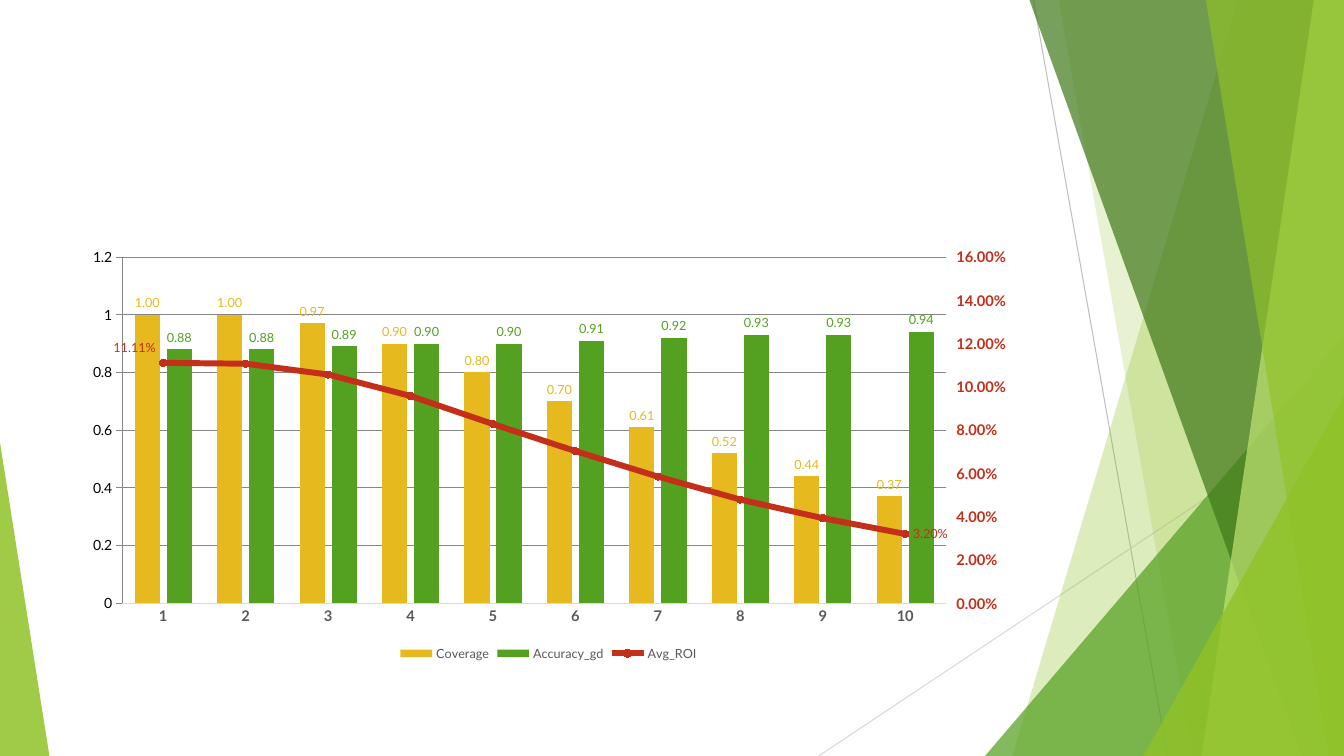
from copy import deepcopy

from lxml import etree
from pptx import Presentation
from pptx.chart.axis import CategoryAxis, ValueAxis
from pptx.chart.data import CategoryChartData
from pptx.dml.color import RGBColor
from pptx.enum.chart import (XL_CHART_TYPE, XL_LABEL_POSITION, XL_LEGEND_POSITION,
                             XL_MARKER_STYLE, XL_TICK_MARK)
from pptx.enum.shapes import MSO_CONNECTOR, MSO_SHAPE
from pptx.oxml import parse_xml
from pptx.oxml.ns import nsdecls, qn
from pptx.util import Inches, Pt

CLUSTERED = XL_CHART_TYPE.COLUMN_CLUSTERED
LEFT, RIGHT = XL_LABEL_POSITION.LEFT, XL_LABEL_POSITION.RIGHT
OUTSIDE = XL_LABEL_POSITION.OUTSIDE_END
BOTTOM = XL_LEGEND_POSITION.BOTTOM
CIRCLE = XL_MARKER_STYLE.CIRCLE
NO_TICK, TICK_OUT = XL_TICK_MARK.NONE, XL_TICK_MARK.OUTSIDE
STRAIGHT = MSO_CONNECTOR.STRAIGHT
TRIANGLE = MSO_SHAPE.ISOSCELES_TRIANGLE

# Content
WIDTH, HEIGHT = 13.33, 7.5
CATEGORIES = [str(n) for n in range(1, 11)]
COVERAGE = ("Coverage", [1, 1, 0.97, 0.9, 0.8, 0.7, 0.61, 0.52, 0.44, 0.37])
ACCURACY = ("Accuracy_gd", [0.88, 0.88, 0.89, 0.9, 0.9, 0.91, 0.92, 0.93, 0.93, 0.94])
ROI = ("Avg_ROI", [0.1111, 0.1107, 0.1057, 0.0958, 0.0828,
                   0.0703, 0.0585, 0.0479, 0.0393, 0.032])
ROI_LABELS = {0: LEFT, 9: RIGHT}
CHART_BOX = (0.74, 2.36, 9.4, 4.24)
PLOT_AREA = {"x": 0.05, "y": 0.045, "w": 0.87, "h": 0.81}

THEME = {
    "font": "Lato", "lime": "90C226", "green": "54A021", "dark": "3F7819",
    "pale": "C0E474", "gold": "E6B91E", "red": "C42F1A", "olive": "918655",
    "text": "595959", "grid": "D9D9D9", "ray": "BFBFBF", "black": "000000",
    "base": 10, "label": 9, "axis": 10.5, "value_axis": 11,
}

RAYS = [((10.25, 0), (11.58, HEIGHT), "ray"), ((WIDTH, 4.03), (8.12, HEIGHT), "grid")]
# Bands reach the right edge: top-left x, bottom-left x
# Triangles stand on the bottom edge: left, top, width, apex
FACETS = [
    ("band", (12.28, 10.04), "lime", 30),
    ("band", (10.5, 11.83), "lime", 20),
    ("triangle", (9.77, 3.33, 3.56, 1), "green", 72),
    ("band", (10.21, 12.91), "dark", 70),
    ("band", (13.03, 11.92), "pale", 70),
    ("band", (11.96, 13.18), "lime", 65),
    ("triangle", (11.34, 3.93, 1.99, 1), "lime", 80),
    ("triangle", (0, 4.39, 0.49, 0), "lime", 85),
]


def color(name):
    return RGBColor.from_string(THEME[name])


def style_font(font, size, name, bold=False):
    font.name, font.size, font.bold = THEME["font"], Pt(THEME[size]), bold
    font.color.rgb = color(name)


def style_line(line, name, width):
    line.color.rgb = color(name)
    line.width = Pt(width)


def add_ray(slide, start, end, name):
    ray = slide.shapes.add_connector(STRAIGHT, *map(Inches, start + end))
    style_line(ray.line, name, 0.75)
    etree.SubElement(ray.element.spPr, qn("a:effectLst"))


def add_facet(slide, kind, geometry, name, opacity):
    if kind == "band":
        top_x, bottom_x = geometry
        corners = [(top_x, 0), (WIDTH, 0), (WIDTH, HEIGHT), (bottom_x, HEIGHT)]
        points = [(Inches(x), Inches(y)) for x, y in corners]
        builder = slide.shapes.build_freeform(*points[0], scale=1.0)
        builder.add_line_segments(points[1:], close=True)
        sp = builder.convert_to_shape()
    else:
        left, top, width, apex = geometry
        box = (left, top, width, HEIGHT - top)
        sp = slide.shapes.add_shape(TRIANGLE, *map(Inches, box))
        sp.adjustments[0] = apex
    sp.shadow.inherit = False
    sp.line.fill.background()
    sp.fill.solid()
    sp.fill.fore_color.rgb = color(name)
    rgb = sp.element.spPr.find(qn("a:solidFill")).find(qn("a:srgbClr"))
    etree.SubElement(rgb, qn("a:alpha"), val=str(opacity * 1000))


def manual_layout(inner=False, **fractions):
    target = '<c:layoutTarget val="inner"/>' if inner else ""
    modes = '<c:xMode val="edge"/><c:yMode val="edge"/>' if inner else ""
    values = "".join(f'<c:{k} val="{v}"/>' for k, v in fractions.items())
    return parse_xml(f'<c:layout {nsdecls("c")}><c:manualLayout>'
                     f'{target}{modes}{values}</c:manualLayout></c:layout>')


def move_last_series_to_line(chart):
    """Put the last series on a line plot with its own axes; return its value axis."""
    bar = chart.plots[0]._element
    area = bar.getparent()
    ser = bar.findall(qn("c:ser"))[-1]
    for bar_only in ser.findall(qn("c:invertIfNegative")):
        ser.remove(bar_only)
    new_ids = dict(zip([a.get("val") for a in bar.findall(qn("c:axId"))], ("1001", "1002")))
    line = parse_xml(
        f'<c:lineChart {nsdecls("c")}><c:grouping val="stacked"/><c:varyColors val="0"/>'
        '<c:marker val="1"/><c:axId val="1001"/><c:axId val="1002"/></c:lineChart>')
    line.insert(2, ser)
    bar.addnext(line)

    cat_ax, val_ax = area.find(qn("c:catAx")), area.find(qn("c:valAx"))
    right_ax, hidden_ax = deepcopy(val_ax), deepcopy(cat_ax)
    for axis in (right_ax, hidden_ax):
        for tag in ("c:axId", "c:crossAx"):
            node = axis.find(qn(tag))
            node.set("val", new_ids[node.get("val")])
    right_ax.find(qn("c:axPos")).set("val", "r")
    right_ax.find(qn("c:crosses")).set("val", "max")
    val_ax.addnext(right_ax)
    right_ax.addnext(hidden_ax)
    CategoryAxis(hidden_ax).visible = False
    return ValueAxis(right_ax)


def style_value_axis(axis, top, step, number_format, size, name, tick):
    axis.minimum_scale, axis.maximum_scale, axis.major_unit = 0, top, step
    axis.major_tick_mark, axis.minor_tick_mark = tick, NO_TICK
    axis.tick_labels.number_format = number_format
    axis.tick_labels.number_format_is_linked = False
    axis.format.line.fill.background()
    style_font(axis.tick_labels.font, size, name, True)


def style_columns(series, name):
    series.format.fill.solid()
    series.format.fill.fore_color.rgb = color(name)
    labels = series.data_labels
    labels.show_value, labels.position = True, OUTSIDE
    labels.number_format, labels.number_format_is_linked = "#,##0.00", False
    style_font(labels.font, "label", name)


def style_roi(series):
    series.smooth = False
    style_line(series.format.line, "red", 4.25)
    series.marker.style, series.marker.size = CIRCLE, 5
    series.marker.format.fill.solid()
    series.marker.format.fill.fore_color.rgb = color("olive")
    style_line(series.marker.format.line, "red", 0.75)
    series.data_labels.show_value = False
    for index, position in ROI_LABELS.items():
        label = series.points[index].data_label
        style_font(label.font, "label", "red")
        label.position = position
    first = series.data_labels._element.find(qn("c:dLbl"))
    first.find(qn("c:idx")).addnext(manual_layout(x=0, y=-0.035))


def add_roi_chart(slide):
    data = CategoryChartData()
    data.categories = CATEGORIES
    for name, values in (COVERAGE, ACCURACY):
        data.add_series(name, values)
    data.add_series(*ROI, number_format="0.00%")
    chart = slide.shapes.add_chart(CLUSTERED, *map(Inches, CHART_BOX), data).chart
    style_font(chart.font, "base", "black")
    chart.has_title = False
    chart.has_legend = True
    chart.legend.position, chart.legend.include_in_layout = BOTTOM, False
    style_font(chart.legend.font, "label", "text")

    right_axis = move_last_series_to_line(chart)
    area = chart.plots[0]._element.getparent()
    for layout in area.findall(qn("c:layout")):
        area.remove(layout)
    area.insert(0, manual_layout(inner=True, **PLOT_AREA))

    columns, roi_line = chart.plots
    columns.gap_width, columns.overlap, columns.vary_by_categories = 100, -27, False
    for series, name in zip(columns.series, ("gold", "green")):
        style_columns(series, name)
    style_roi(roi_line.series[0])

    style_value_axis(chart.value_axis, 1.2, 0.2, "General", "value_axis", "text", NO_TICK)
    style_line(chart.value_axis.major_gridlines.format.line, "grid", 0.75)
    style_value_axis(right_axis, 0.16, 0.02, "0.00%", "axis", "red", TICK_OUT)
    right_axis.has_major_gridlines = False
    categories = chart.category_axis
    categories.major_tick_mark = categories.minor_tick_mark = NO_TICK
    style_line(categories.format.line, "grid", 0.75)
    style_font(categories.tick_labels.font, "axis", "text", True)


def main():
    prs = Presentation()
    prs.slide_width, prs.slide_height = Inches(WIDTH), Inches(HEIGHT)
    slide = prs.slides.add_slide(prs.slide_layouts[6])
    for ray in RAYS:
        add_ray(slide, *ray)
    for facet in FACETS:
        add_facet(slide, *facet)
    add_roi_chart(slide)
    prs.save("out.pptx")


if __name__ == "__main__":
    main()
